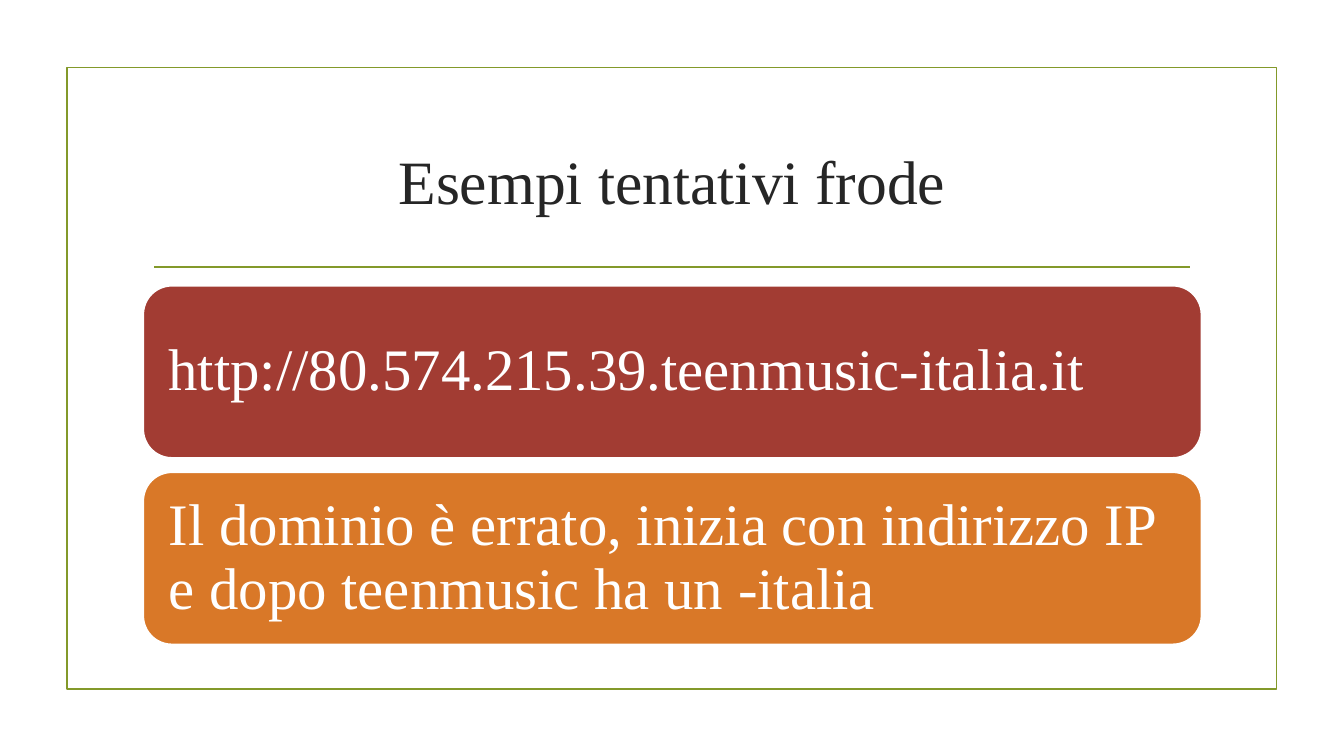
from lxml.etree import SubElement
from pptx import Presentation
from pptx.dml.color import RGBColor
from pptx.enum.shapes import MSO_CONNECTOR as Connector, MSO_SHAPE as Shape
from pptx.enum.text import MSO_ANCHOR as Anchor, PP_ALIGN as Align
from pptx.oxml.ns import qn
from pptx.util import Cm, Pt

FONT = "Times New Roman"
COLORS = {
    "olive": "83992A",
    "title": "262626",
    "red": "A23C33",
    "orange": "D97828",
    "white": "FFFFFF",
}
CARDS = [
    ("http://80.574.215.39.teenmusic-italia.it", "red"),
    ("Il dominio è errato, inizia con indirizzo IP e dopo teenmusic ha un -italia", "orange"),
]
LINE_WIDTH = Pt(1.25)


def color(name):
    return RGBColor.from_string(COLORS[name])


def style_line(line, name):
    line.color.rgb = color(name)
    line.width = LINE_WIDTH


def write(box, text, size, name, align):
    frame = box.text_frame
    frame.word_wrap = True
    frame.vertical_anchor = Anchor.MIDDLE
    para = frame.paragraphs[0]
    para.text = text
    para.alignment = align
    para.font.name = FONT
    para.font.size = Pt(size)
    para.font.color.rgb = color(name)
    return para


def add_frame(page, left, top, width, height):
    border = page.shapes.add_shape(
        Shape.RECTANGLE, Cm(left), Cm(top), Cm(width), Cm(height))
    border.shadow.inherit = False
    border.fill.background()
    style_line(border.line, "olive")


def add_heading(page, left, top, width, height):
    box = page.shapes.add_textbox(Cm(left), Cm(top), Cm(width), Cm(height))
    write(box, "Esempi tentativi frode", 44, "title", Align.CENTER)

    # Rule below the title, slightly narrower than it
    margin, drop = 0.28, 0.38
    y = Cm(top + height + drop)
    rule = page.shapes.add_connector(
        Connector.STRAIGHT, Cm(left + margin), y, Cm(left + width - margin), y)
    style_line(rule.line, "olive")
    SubElement(rule._element.spPr, qn("a:effectLst"))


def add_cards(page, left, top, width, height, gap=0.36):
    card_height = (height - gap * (len(CARDS) - 1)) / len(CARDS)
    for index, (text, fill) in enumerate(CARDS):
        card = page.shapes.add_shape(
            Shape.ROUNDED_RECTANGLE, Cm(left),
            Cm(top + index * (card_height + gap)), Cm(width), Cm(card_height))
        card.shadow.inherit = False
        card.fill.solid()
        card.fill.fore_color.rgb = color(fill)
        style_line(card.line, "white")
        frame = card.text_frame
        frame.margin_left = frame.margin_right = Cm(0.43)
        frame.margin_top = frame.margin_bottom = Cm(0.43)
        para = write(card, text, 42, "white", Align.LEFT)
        para.line_spacing = 0.9


def main():
    deck = Presentation()
    deck.slide_width, deck.slide_height = Cm(33.87), Cm(19.05)
    page = deck.slides.add_slide(deck.slide_layouts[6])
    add_frame(page, 1.69, 1.7, 30.48, 15.67)
    add_heading(page, 3.61, 2.72, 26.67, 3.63)
    add_cards(page, 3.61, 7.2, 26.67, 9.04)
    deck.save("out.pptx")


if __name__ == "__main__":
    main()
